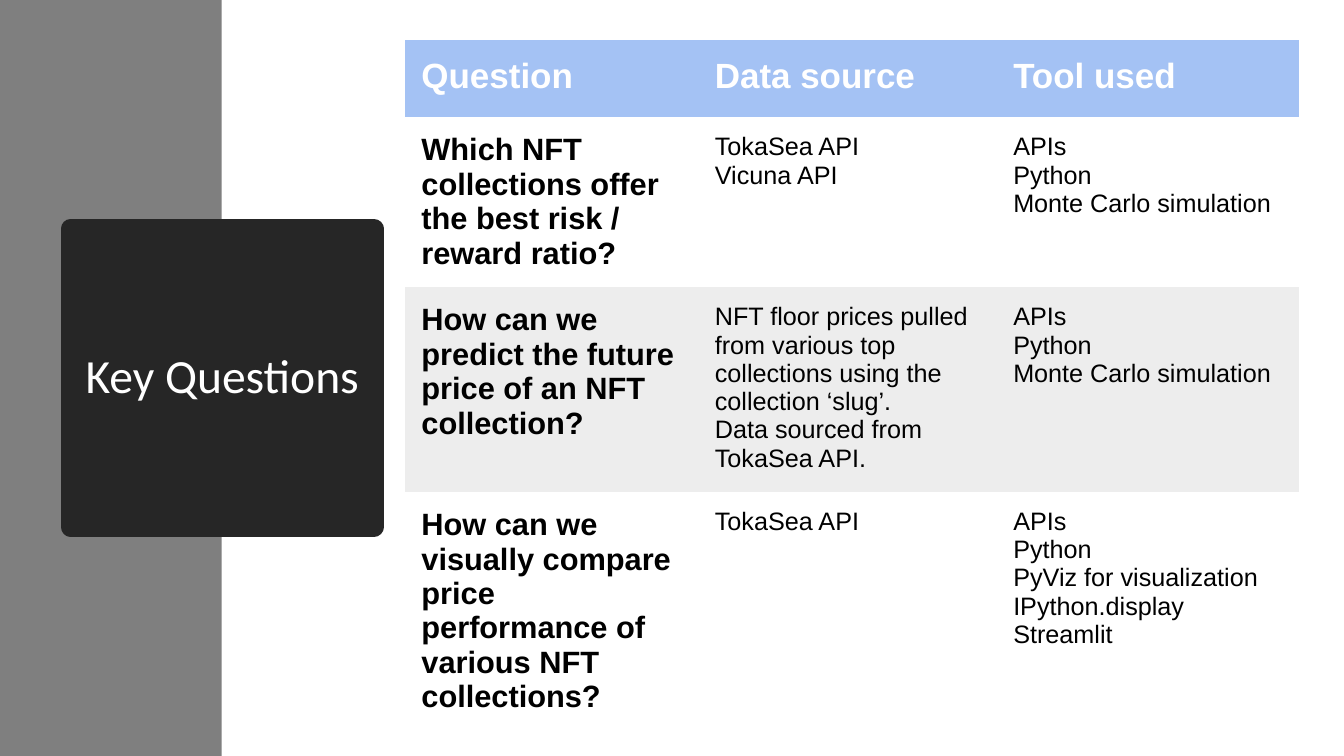
from lxml.etree import SubElement
from pptx import Presentation
from pptx.dml.color import RGBColor
from pptx.enum.shapes import MSO_SHAPE
from pptx.enum.text import MSO_ANCHOR, PP_ALIGN
from pptx.oxml.ns import qn
from pptx.util import Inches, Pt

COLORS = {
    "band": "7F7F7F",
    "title": "262626",
    "header": "A4C2F4",
    "stripe": "EDEDED",
    "light": "FFFFFF",
    "dark": "000000",
}
COLUMN_WIDTHS = [2.91, 2.96, 2.99]
ROW_HEIGHTS = [0.76, 1.22, 2.03, 2.03]
CELL_MARGIN = 0.16
HEADINGS = ["Question", "Data source", "Tool used"]
QUESTIONS = [
    ("Which NFT collections offer the best risk / reward ratio?",
     ["TokaSea API", "Vicuna API"],
     ["APIs", "Python", "Monte Carlo simulation"]),
    ("How can we predict the future price of an NFT collection?",
     ["NFT floor prices pulled from various top collections using the collection ‘slug’.",
      "Data sourced from TokaSea API."],
     ["APIs", "Python", "Monte Carlo simulation"]),
    ("How can we visually compare price performance of various NFT collections?",
     ["TokaSea API"],
     ["APIs", "Python", "PyViz for visualization", "IPython.display", "Streamlit"]),
]


def rgb(name):
    return RGBColor.from_string(COLORS[name])


def write(frame, lines, size, color="dark", bold=False, font="Arial",
          align=PP_ALIGN.LEFT, spacing=None):
    """Fill a text frame with one paragraph per line."""
    frame.word_wrap = True
    for index, line in enumerate(lines):
        paragraph = frame.add_paragraph() if index else frame.paragraphs[0]
        paragraph.alignment = align
        paragraph.line_spacing = spacing
        run = paragraph.add_run()
        run.text = line
        run.font.size = Pt(size)
        run.font.name = font
        run.font.bold = bold
        run.font.color.rgb = rgb(color)


def add_block(slide, left, top, width, height, color):
    block = slide.shapes.add_shape(
        MSO_SHAPE.RECTANGLE, Inches(left), Inches(top), Inches(width), Inches(height))
    block.shadow.inherit = False
    block.fill.solid()
    block.fill.fore_color.rgb = rgb(color)
    block.line.fill.background()
    return block


def add_title(slide, left, top, width, height):
    """Dark square whose thick outline rounds its corners."""
    title = add_block(slide, left, top, width, height, "title")
    title.line.color.rgb = rgb("title")
    title.line.width = Pt(13.75)
    SubElement(title.line._get_or_add_ln(), qn("a:round"))
    title.text_frame.vertical_anchor = MSO_ANCHOR.MIDDLE
    write(title.text_frame, ["Key Questions"], 34, color="light", font="Calibri",
          align=PP_ALIGN.CENTER, spacing=0.9)


def fill_cell(cell, lines, size, fill=None, **text_format):
    cell.margin_left = cell.margin_right = Inches(CELL_MARGIN)
    cell.margin_top = cell.margin_bottom = Inches(CELL_MARGIN)
    if fill:
        cell.fill.solid()
        cell.fill.fore_color.rgb = rgb(fill)
    else:
        cell.fill.background()
    write(cell.text_frame, lines, size, **text_format)


def add_questions(slide, left, top):
    table = slide.shapes.add_table(
        len(ROW_HEIGHTS), len(COLUMN_WIDTHS), Inches(left), Inches(top),
        Inches(sum(COLUMN_WIDTHS)), Inches(sum(ROW_HEIGHTS))).table
    table.horz_banding = False
    table.first_row = False
    # "No Style, No Grid" keeps the cells free of borders
    table._tbl.tblPr.find(qn("a:tableStyleId")).text = "{2D5ABB26-0587-4C30-8999-92F81FD0307C}"
    for column, width in zip(table.columns, COLUMN_WIDTHS):
        column.width = Inches(width)
    for row, height in zip(table.rows, ROW_HEIGHTS):
        row.height = Inches(height)

    for column, heading in enumerate(HEADINGS):
        fill_cell(table.cell(0, column), [heading], 25, fill="header",
                  color="light", bold=True)
    for row, (question, sources, tools) in enumerate(QUESTIONS, start=1):
        stripe = "stripe" if row % 2 == 0 else None
        fill_cell(table.cell(row, 0), [question], 22, fill=stripe, bold=True)
        fill_cell(table.cell(row, 1), sources, 18, fill=stripe)
        fill_cell(table.cell(row, 2), tools, 18, fill=stripe)


def main():
    presentation = Presentation()
    presentation.slide_width = Inches(13.33)
    presentation.slide_height = Inches(7.5)
    slide = presentation.slides.add_slide(presentation.slide_layouts[6])
    add_block(slide, 0, 0, 2.2, 7.5, "band")
    add_title(slide, 0.7, 2.27, 3.01, 2.96)
    add_questions(slide, 4.02, 0.4)
    presentation.save("out.pptx")


if __name__ == "__main__":
    main()
